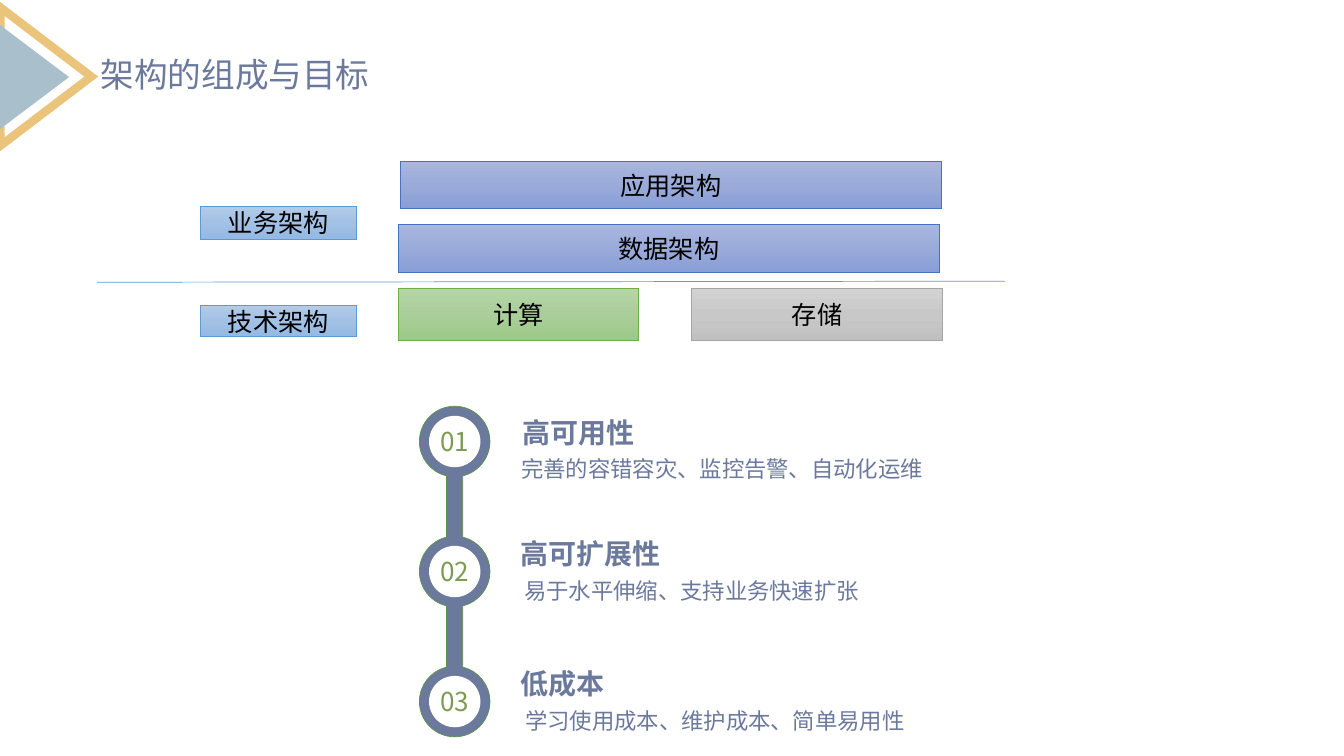
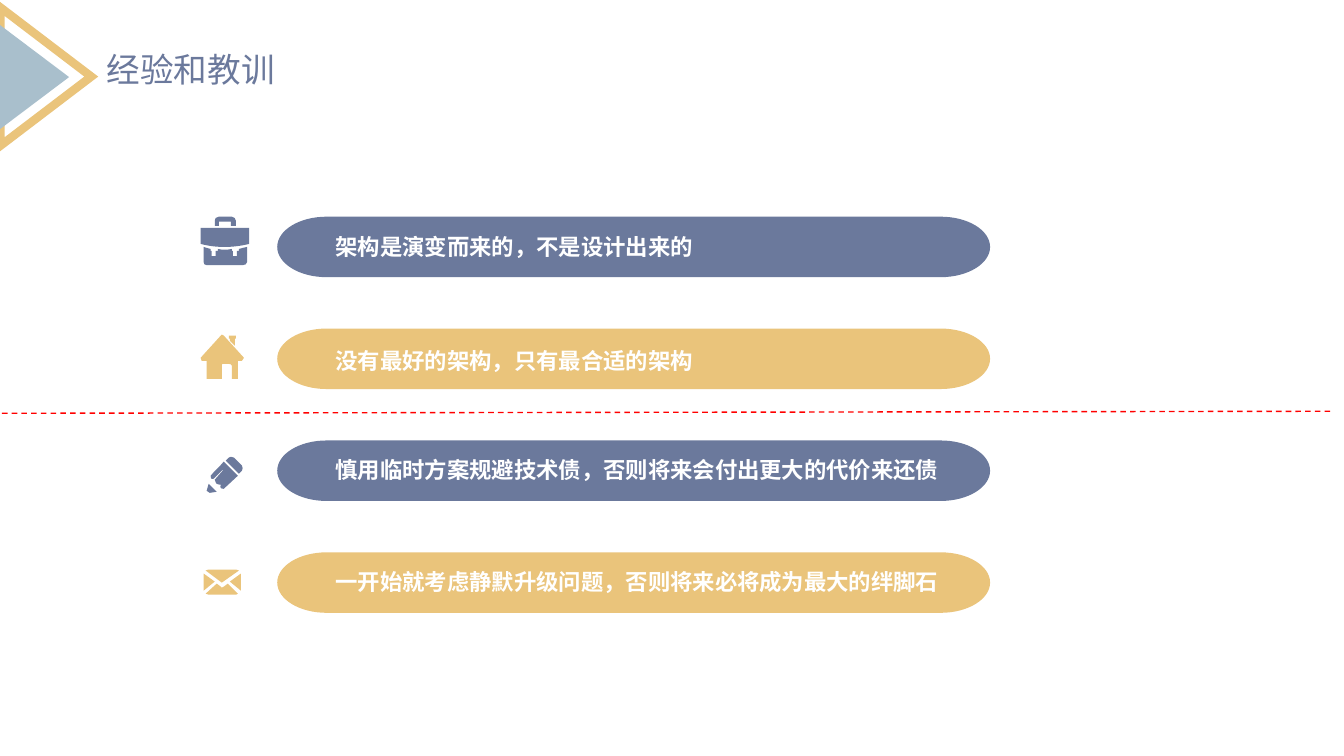
import copy
import math

import lxml.etree
import pptx
import pptx.dml.color
import pptx.enum.dml
import pptx.enum.shapes
import pptx.enum.text
import pptx.oxml.ns
import pptx.util

PX = 9144
SLIDE_SIZE = (1333, 750)
CJK = "Noto Sans CJK SC"
COLORS = {
    "slate": "6B799C", "gold": "EAC47B", "mist": "A9BFCC", "olive": "7D9A52",
    "leaf": "5A944C", "white": "FFFFFF", "black": "000000", "rule": "5B9BD5", "red": "FF0000",
}
GRADIENTS = {
    "green": (("B5D5A7", "AACE9A", "9CC987"), "70AD47"),
    "gray": (("D2D2D2", "C8C8C8", "C0C0C0"), "A5A5A5"),
    "indigo": (("A8B7DF", "9AABD9", "889ED7"), "4472C4"),
    "sky": (("B1CBE9", "A3C1E5", "93B9E4"), "5B9BD5"),
}
SHAPE = pptx.enum.shapes.MSO_SHAPE

LOWER_LAYERS = [
    ("计算", (395, 286, 238, 52), "green", SHAPE.RECTANGLE),
    ("存储", (686, 286, 249, 52), "gray", SHAPE.RECTANGLE),
    ("数据架构", (395, 223, 537, 47), "indigo", SHAPE.RECTANGLE),
]
UPPER_LAYERS = [
    ("应用架构", (397, 160, 537, 47), "indigo", SHAPE.RECTANGLE),
    ("技术架构", (199, 303, 154, 31), "sky", SHAPE.FLOWCHART_PROCESS),
    ("业务架构", (199, 205, 154, 32), "sky", SHAPE.FLOWCHART_PROCESS),
]
GOALS = [
    ("高可用性", 508, 407, "完善的容错容灾、监控告警、自动化运维", 507, "Calibri"),
    ("高可扩展性", 506, 527, "易于水平伸缩、支持业务快速扩张", 510, "Calibri"),
    ("低成本", 506, 656, "学习使用成本、维护成本、简单易用性", 511, "Open Sans"),
]
DETAIL_TOPS = (447, 568, 697)
GOAL_X, GOAL_Y, GOAL_STEP = 451, 438, 129
RING, HOLE, BAR = 35, 51, 8

BRIEFCASE = [
    [(245, 245), (245, 260), ((245, 262), (243, 263), (241, 263)), (205, 263),
     ((203, 263), (202, 262), (202, 260)), (202, 245), ((204, 246), (206, 246), (209, 247)),
     (209, 249), (210, 249), (210, 254), (214, 254), (214, 249), (216, 249), (216, 247),
     ((221, 248), (225, 248), (230, 247)), (230, 249), (231, 249), (231, 254), (235, 254),
     (235, 249), (237, 249), (237, 247), ((239, 246), (242, 246), (245, 245))],
    [(217, 215), (230, 215), ((232, 215), (234, 217), (234, 219)), (234, 224), (229, 224),
     (229, 220), (217, 220), (217, 224), (213, 224), (213, 219),
     ((213, 217), (214, 215), (217, 215))],
    [(199, 226), (199, 242), ((214, 246), (231, 246), (247, 242)), (247, 226)],
]
HOUSE = [
    [(236, 358), (236, 376), (230, 376), (230, 363), ((230, 362), (229, 361), (227, 361)),
     (221, 361), ((220, 361), (220, 362), (220, 363)), (220, 376), (205, 376), (205, 358),
     (200, 358), (199, 355), (219, 333), (220, 332), (222, 333), (242, 355), (240, 358)],
    [(233, 336), (234, 336), (234, 333), (227, 333), (227, 336), (228, 336), (228, 338),
     (233, 343)],
]
PENCIL = [
    [(237, 470), (240, 467), ((241, 466), (241, 463), (240, 462)), (232, 454),
     ((230, 453), (228, 453), (227, 454)), (224, 457)],
    [(226, 462), (232, 468), (236, 472), (222, 485), ((219, 485), (218, 484), (219, 481)),
     ((215, 481), (213, 479), (213, 476)), (221, 467), (221, 466), (212, 475),
     ((209, 476), (209, 474), (209, 472)), ((213, 467), (218, 463), (222, 458))],
    [(207, 480), (205, 487), (208, 489), (215, 488)],
]
ENVELOPE = [
    [(207, 565), (234, 565), ((235, 565), (236, 566), (237, 566)), (220, 578), (204, 566),
     ((205, 566), (206, 565), (207, 565))],
    [(239, 569), (228, 577), (239, 586)],
    [(236, 589), ((235, 589), (235, 590), (234, 590)), (207, 590),
     ((206, 590), (205, 589), (204, 589)), (215, 579), (219, 582), (220, 583), (222, 582),
     (226, 579)],
    [(202, 586), (213, 577), (202, 569)],
]
LESSONS = [
    ("架构是演变而来的，不是设计出来的", 226, BRIEFCASE, "slate"),
    ("没有最好的架构，只有最合适的架构", 339, HOUSE, "gold"),
    ("慎用临时方案规避技术债，否则将来会付出更大的代价来还债", 448, PENCIL, "slate"),
    ("一开始就考虑静默升级问题，否则将来必将成为最大的绊脚石", 559, ENVELOPE, "gold"),
]
PILL_X, PILL_Y, PILL_W, PILL_H, PILL_STEP, PILL_CURVE = 275, 215, 707, 60, 111, 49


def rgb(color):
    return pptx.dml.color.RGBColor.from_string(COLORS.get(color, color))


def tag(name):
    return pptx.oxml.ns.qn("a:" + name)


def emu(values):
    return [round(value * PX) for value in values]


def paint(shape, fill=None, line=None, width=0.5):
    shape.shadow.inherit = False
    if fill:
        shape.fill.solid()
        shape.fill.fore_color.rgb = rgb(fill)
    else:
        shape.fill.background()
    if line:
        shape.line.color.rgb = rgb(line)
        shape.line.width = pptx.util.Pt(width)
        lxml.etree.SubElement(shape.element.spPr.find(tag("ln")), tag("miter"), lim="800000")
    else:
        shape.line.fill.background()


def paint_gradient(shape, name):
    stops, edge = GRADIENTS[name]
    paint(shape, line=edge)
    shape.fill.gradient()
    shape.fill.gradient_angle = 270
    stop_list = shape.element.spPr.find(".//" + tag("gsLst"))
    stop_list.insert(1, copy.deepcopy(stop_list[0]))
    for index, (stop, color) in enumerate(zip(shape.fill.gradient_stops, stops)):
        stop.color.rgb = rgb(color)
        stop.position = index / 2


def write(box, text, size, color, font=CJK, bold=False, centred=False):
    frame = box.text_frame
    frame.word_wrap = True
    para = frame.paragraphs[0]
    if centred:
        frame.vertical_anchor = pptx.enum.text.MSO_ANCHOR.MIDDLE
        para.alignment = pptx.enum.text.PP_ALIGN.CENTER
    span = para.add_run()
    span.text = text
    span.font.size = pptx.util.Pt(size)
    span.font.bold = bold
    span.font.color.rgb = rgb(color)
    span.font.name = font
    lxml.etree.SubElement(span._r.get_or_add_rPr(), tag("ea"), typeface=CJK)


def add_text(page, place, text, size, color, **style):
    box = page.shapes.add_textbox(*emu(place))
    write(box, text, size, color, **style)
    box.text_frame.auto_size = pptx.enum.text.MSO_AUTO_SIZE.SHAPE_TO_FIT_TEXT


def is_curve(step):
    return isinstance(step[0], tuple)


def bend(shape, steps):
    lines = iter(list(shape.element.iter(tag("lnTo"))))
    for step in steps:
        first = next(lines)
        if is_curve(step):
            first.tag = tag("cubicBezTo")
            for _ in step[1:]:
                extra = next(lines)
                first.append(extra[0])
                extra.getparent().remove(extra)


def add_outline(page, contours, fill, line=None):
    builder = None
    for start, *steps in contours:
        points = []
        for step in steps:
            points += [emu(point) for point in (step if is_curve(step) else [step])]
        if builder is None:
            builder = page.shapes.build_freeform(*emu(start), scale=1.0)
        else:
            builder.move_to(*emu(start))
        closed = points[-1] == emu(start)
        builder.add_line_segments(points, close=False)
        if not closed:
            builder.add_line_segments([emu(start)], close=False)
    shape = builder.convert_to_shape()
    all_steps = []
    for start, *steps in contours:
        last = steps[-1][-1] if is_curve(steps[-1]) else steps[-1]
        all_steps += steps if last == start else steps + [start]
    bend(shape, all_steps)
    paint(shape, fill, line)


def add_line(page, start, end, color, width, dash=None):
    line = page.shapes.add_connector(
        pptx.enum.shapes.MSO_CONNECTOR.STRAIGHT, *emu(start + end))
    line.line.color.rgb = rgb(color)
    line.line.width = pptx.util.Pt(width)
    if dash:
        line.line.dash_style = dash
    lxml.etree.SubElement(line.element.spPr, tag("effectLst"))


def arc(x, y, radius_x, radius_y, *degrees):
    def point(angle, along=0):
        cos, sin = math.cos(angle), math.sin(angle)
        return (x + radius_x * (cos - along * sin), y + radius_y * (sin + along * cos))

    angles = [math.radians(degree) for degree in degrees]
    steps = [point(angles[0])]
    for start, end in zip(angles, angles[1:]):
        pull = 4 / 3 * math.tan((end - start) / 4)
        steps.append((point(start, pull), point(end, -pull), point(end)))
    return steps


def add_page(deck, title, x, y):
    page = deck.slides.add_slide(deck.slide_layouts[6])
    for place, fill, line in [((-23, 31, 137, 90), None, "gold"),
                              ((-18, 42, 104, 69), "mist", None)]:
        triangle = page.shapes.add_shape(SHAPE.ISOSCELES_TRIANGLE, *emu(place))
        triangle.rotation = 90
        paint(triangle, fill, line, 6)
    return page, lambda: add_text(page, (x, y, 292, 50), title, 24, "slate")


def add_goals(page):
    centres = [GOAL_Y + GOAL_STEP * i for i in range(len(GOALS))]
    joint = 90 - math.degrees(math.asin(BAR / RING))
    chain = []
    for y in centres:
        start = -90 if y == centres[0] else -joint
        end = 90 if y == centres[-1] else joint
        chain += arc(GOAL_X, y, RING, RING, start, 0, end)
    for y in reversed(centres):
        start = 90 if y == centres[-1] else 180 - joint
        end = 270 if y == centres[0] else 180 + joint
        turn = arc(GOAL_X, y, RING, RING, start, 180, end)
        chain += turn[1:] if y == centres[-1] else turn
    add_outline(page, [chain], "slate", "leaf")
    for number, y in enumerate(centres, 1):
        hole = page.shapes.add_shape(
            SHAPE.OVAL, *emu((GOAL_X - HOLE / 2, y - HOLE / 2, HOLE, HOLE)))
        paint(hole, "white")
        frame = hole.text_frame
        frame.margin_left = frame.margin_right = frame.margin_top = frame.margin_bottom = 0
        write(hole, f"{number:02}", 18.6, "olive", centred=True)
    for (heading, heading_x, top, detail, detail_x, font), low in zip(GOALS, DETAIL_TOPS):
        add_text(page, (detail_x, low, 431, 37), detail, 16, "slate", font=font)
        add_text(page, (heading_x, top, 236, 77), heading, 20, "slate", bold=True)


def add_layers(page, layers):
    for label, place, gradient, kind in layers:
        layer = page.shapes.add_shape(kind, *emu(place))
        paint_gradient(layer, gradient)
        write(layer, label, 18, "black", font="Calibri", centred=True)


def add_lessons(page):
    for index, (text, text_top, icon, color) in enumerate(LESSONS):
        middle, half = PILL_Y + PILL_STEP * index + PILL_H / 2, PILL_H / 2
        pill = (arc(PILL_X + PILL_W - PILL_CURVE, middle, PILL_CURVE, half, -90, 0, 90)
                + arc(PILL_X + PILL_CURVE, middle, PILL_CURVE, half, 90, 180, 270))
        add_outline(page, [pill], color)
        add_outline(page, icon, color)
        add_text(page, (323, text_top, 628, 37), text, 16, "white", bold=True)
    add_line(page, (2, 410), (1320, 408), "red", 1, pptx.enum.dml.MSO_LINE.DASH)


def main():
    deck = pptx.Presentation()
    deck.slide_width, deck.slide_height = emu(SLIDE_SIZE)
    page, add_title = add_page(deck, "架构的组成与目标", 90, 49)
    add_goals(page)
    add_title()
    add_layers(page, LOWER_LAYERS)
    add_line(page, (96, 280), (997, 279), "rule", 0.5)
    add_layers(page, UPPER_LAYERS)
    page, add_title = add_page(deck, "经验和教训", 96, 44)
    add_title()
    add_lessons(page)
    deck.save("out.pptx")


if __name__ == "__main__":
    main()
